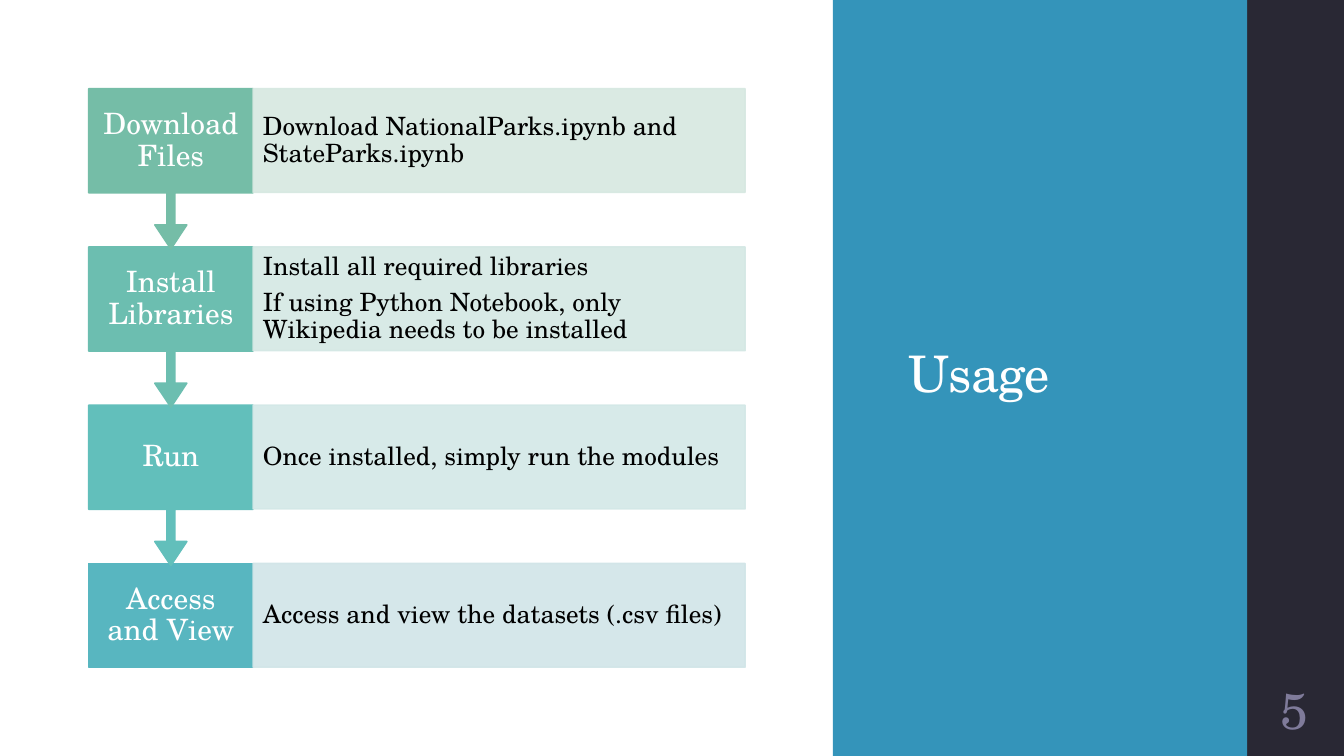
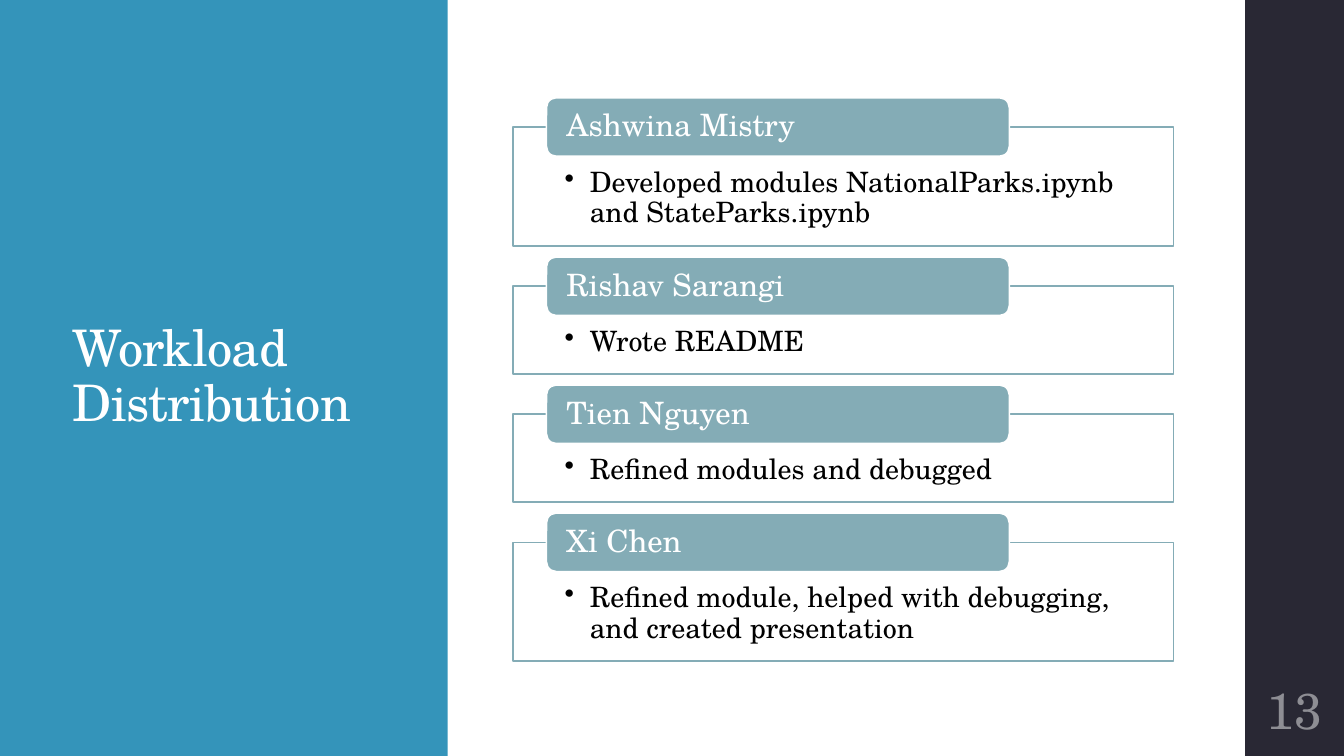
"""Build two slides: a flow of steps and a set of work cards."""
from dataclasses import dataclass
from typing import Optional

from lxml import etree
from pptx import Presentation
from pptx import util as u
from pptx.dml.color import RGBColor
from pptx.enum import shapes, text
from pptx.oxml import ns

SCALE = 9144
WIDE, HIGH = 1333, 750
EDGE = 1235
FONT = "TeX Gyre Schola"
WHITE = RGBColor(0xFF, 0xFF, 0xFF)
BLACK = RGBColor(0x00, 0x00, 0x00)
BLUE = RGBColor(0x34, 0x94, 0xBA)
DARK = RGBColor(0x29, 0x28, 0x34)
MAUVE = RGBColor(0x7F, 0x7B, 0x9A)
GREY = RGBColor(0x8E, 0x8E, 0x94)
STEEL = RGBColor(0x84, 0xAC, 0xB6)
RECT = shapes.MSO_SHAPE.RECTANGLE
ROUND = shapes.MSO_SHAPE.ROUNDED_RECTANGLE
CALLOUT = shapes.MSO_SHAPE.DOWN_ARROW_CALLOUT
LEFT, MID = text.PP_ALIGN.LEFT, text.PP_ALIGN.CENTER


@dataclass(frozen=True)
class Box:
    x: int
    y: int
    w: int
    h: int


@dataclass(frozen=True)
class Style:
    size: int
    color: RGBColor
    align: text.PP_ALIGN = LEFT
    inset: tuple[int, int, int, int] = (10, 5, 10, 5)
    after: int = 0
    top: bool = False
    bullet: bool = False


@dataclass(frozen=True)
class Step:
    name: str
    lines: tuple[str, ...]
    dark: RGBColor
    pale: RGBColor


@dataclass(frozen=True)
class Card:
    name: str
    job: str
    high: int


@dataclass(frozen=True)
class Frame:
    title: str
    panel: Box
    place: Box
    page: str
    tint: RGBColor


HEAD = Style(36, WHITE)
LABEL = Style(21, WHITE, MID, (12, 16, 12, 16), 7)
DETAIL = Style(18, BLACK, LEFT, (10, 25, 10, 25), 6)
TAG = Style(22, WHITE, LEFT, (17, 0, 17, 0), 8)
JOB = Style(20, BLACK, LEFT, (51, 41, 51, 16), 3, True, True)

USAGE = Frame("Usage", Box(826, 0, 411, HIGH), Box(891, 88, 309, 570),
              "5", MAUVE)
WORK = Frame("Workload Distribution", Box(0, 0, 444, HIGH),
             Box(62, 91, 297, 567), "13", GREY)

STEPS = (
    Step("Download Files",
         ("Download NationalParks.ipynb and StateParks.ipynb",),
         RGBColor(0x75, 0xBD, 0xA7), RGBColor(0xD6, 0xE8, 0xE1)),
    Step("Install Libraries",
         ("Install all required libraries",
          "If using Python Notebook, only Wikipedia needs to be installed"),
         RGBColor(0x6C, 0xBE, 0xB0), RGBColor(0xD4, 0xE8, 0xE4)),
    Step("Run", ("Once installed, simply run the modules",),
         RGBColor(0x62, 0xBF, 0xBB), RGBColor(0xD3, 0xE8, 0xE7)),
    Step("Access and View", ("Access and view the datasets (.csv files)",),
         RGBColor(0x58, 0xB6, 0xC0), RGBColor(0xD1, 0xE5, 0xE8)),
)
CARDS = (
    Card("Ashwina Mistry",
         "Developed modules NationalParks.ipynb and StateParks.ipynb", 118),
    Card("Rishav Sarangi", "Wrote README", 87),
    Card("Tien Nguyen", "Refined modules and debugged", 87),
    Card("Xi Chen",
         "Refined module, helped with debugging, and created presentation",
         118),
)


def px(num: int) -> u.Emu:
    return u.Emu(num * SCALE)


def spot(box: Box) -> tuple[u.Emu, ...]:
    return px(box.x), px(box.y), px(box.w), px(box.h)


def write(frame, lines: tuple[str, ...], style: Style) -> None:
    frame.word_wrap = True
    frame.auto_size = text.MSO_AUTO_SIZE.NONE
    frame.vertical_anchor = (text.MSO_ANCHOR.TOP if style.top
                             else text.MSO_ANCHOR.MIDDLE)
    (frame.margin_left, frame.margin_top,
     frame.margin_right, frame.margin_bottom) = map(px, style.inset)
    for num, line in enumerate(lines):
        para = frame.add_paragraph() if num else frame.paragraphs[0]
        para.alignment = style.align
        para.line_spacing = 0.9
        para.space_after = u.Pt(style.after)
        if style.bullet:
            props = para._p.get_or_add_pPr()
            props.set("marL", str(px(25)))
            props.set("indent", str(px(-25)))
            etree.SubElement(props, ns.qn("a:buChar"), char="•")
        run = para.add_run()
        run.text = line
        run.font.name = FONT
        run.font.size = u.Pt(style.size)
        run.font.color.rgb = style.color


def draw(slide, kind: shapes.MSO_SHAPE, box: Box, fill: RGBColor,
         line: Optional[RGBColor] = None):
    shape = slide.shapes.add_shape(kind, *spot(box))
    shape.shadow.inherit = False
    shape.fill.solid()
    shape.fill.fore_color.rgb = fill
    if line is None:
        shape.line.fill.background()
    else:
        shape.line.color.rgb = line
        shape.line.width = u.Pt(1.1)
    return shape


def fade(shape) -> None:
    for tone in shape.element.spPr.iter(ns.qn("a:srgbClr")):
        etree.SubElement(tone, ns.qn("a:alpha"), val="90000")


def start(deck, frame: Frame):
    slide = deck.slides.add_slide(deck.slide_layouts[5])
    title = slide.shapes.title
    title.left, title.top, title.width, title.height = spot(frame.place)
    write(title.text_frame, (frame.title,), HEAD)
    title.text_frame.paragraphs[0].runs[0].font._element.set("spc", "-50")
    band = Box(EDGE, 0, WIDE - EDGE, HIGH)
    for box, fill in ((band, DARK), (frame.panel, BLUE)):
        title.element.addprevious(draw(slide, RECT, box, fill).element)
    page = slide.shapes.add_textbox(*spot(Box(EDGE, 675, WIDE - EDGE, 65)))
    write(page.text_frame, (frame.page,),
          Style(36, frame.tint, MID, (5, 5, 5, 5), 6))
    return slide


def flow(slide) -> None:
    left, top, pitch, high = 88, 88, 157, 103
    last = len(STEPS) - 1
    for num, step in reversed(list(enumerate(STEPS))):
        y = top + num * pitch
        if num == last:
            label = draw(slide, RECT, Box(left, y, 163, high),
                         step.dark, step.dark)
        else:
            label = draw(slide, CALLOUT, Box(left, y, 163, 159),
                         step.dark, step.dark)
            for at, ratio in enumerate((0.05, 0.1, 0.15, 0.65)):
                label.adjustments[at] = ratio
        write(label.text_frame, (step.name,), LABEL)
        detail = draw(slide, RECT, Box(left + 163, y, 488, high),
                      step.pale, step.pale)
        fade(detail)
        write(detail.text_frame, step.lines, DETAIL)


def stack(slide) -> None:
    y, gap = 126, 40
    for card in CARDS:
        body = draw(slide, RECT, Box(509, y, 655, card.high), WHITE, STEEL)
        write(body.text_frame, (card.job,), JOB)
        tag = draw(slide, ROUND, Box(542, y - 29, 459, 58), STEEL, WHITE)
        write(tag.text_frame, (card.name,), TAG)
        y += card.high + gap


def main() -> None:
    deck = Presentation()
    deck.slide_width, deck.slide_height = px(WIDE), px(HIGH)
    flow(start(deck, USAGE))
    stack(start(deck, WORK))
    deck.save("out.pptx")


if __name__ == "__main__":
    main()
